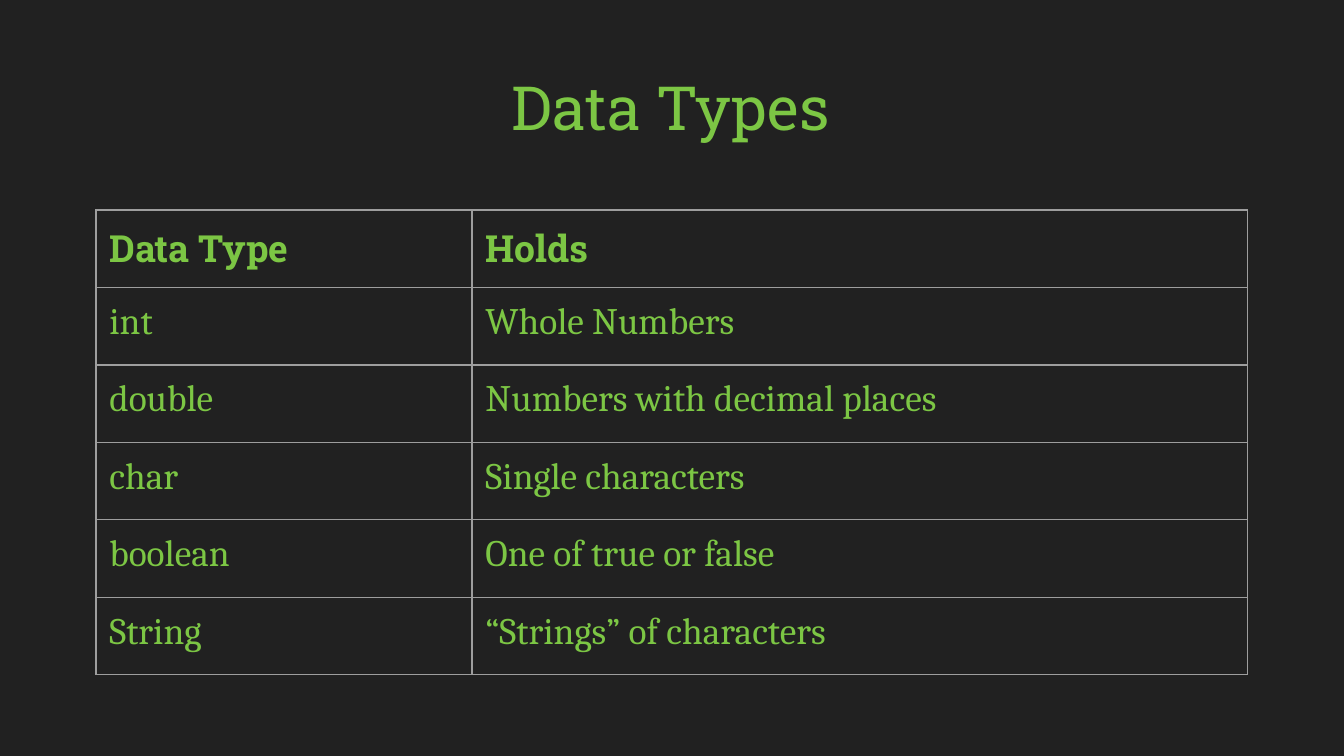
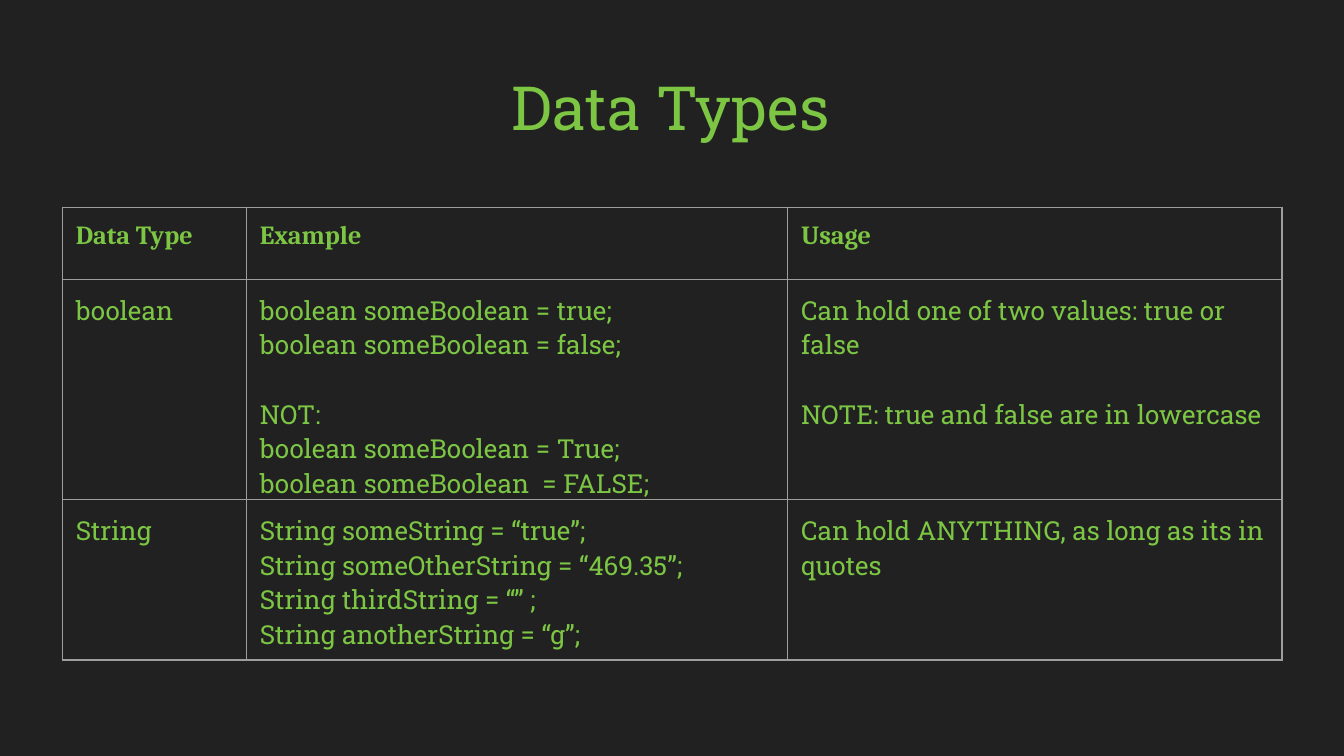
from lxml import etree
from pptx import Presentation
from pptx.dml.color import RGBColor
from pptx.enum.text import MSO_ANCHOR as ANCHOR, PP_ALIGN as ALIGN
from pptx.oxml.ns import qn
from pptx.util import Pt

COLORS = {"background": "212121", "text": "7CC644", "border": "9E9E9E"}
SLAB, SERIF = "Roboto Slab", "Cambria"
INSET = 7.2


def write(tf, text, size=14, font=SLAB, bold=False, align=ALIGN.LEFT, gap=18.5):
    """Write one paragraph per line; a blank line becomes space before the next."""
    tf.word_wrap = True
    blocks = text.split("\n\n")
    lines = [(line, b > 0 and i == 0)
             for b, block in enumerate(blocks)
             for i, line in enumerate(block.split("\n"))]
    for n, (line, spaced) in enumerate(lines):
        p = tf.paragraphs[0] if n == 0 else tf.add_paragraph()
        p.alignment = align
        if spaced:
            p.space_before = Pt(gap)
        r = p.add_run()
        r.text = line
        r.font.size, r.font.name, r.font.bold = Pt(size), font, bold
        r.font.color.rgb = RGBColor.from_string(COLORS["text"])


def set_insets(target):
    target.margin_left = target.margin_right = Pt(INSET)
    target.margin_top = target.margin_bottom = Pt(INSET)


class Deck:
    def __init__(self):
        self.prs = Presentation()
        self.prs.slide_width, self.prs.slide_height = Pt(720), Pt(405)
        self.s = None

    def slide(self, title):
        self.s = self.prs.slides.add_slide(self.prs.slide_layouts[6])
        fill = self.s.background.fill
        fill.solid()
        fill.fore_color.rgb = RGBColor.from_string(COLORS["background"])
        self.title(title)

    def title(self, text):
        sp = self.s.shapes.add_textbox(Pt(95), Pt(41), Pt(529), Pt(42.5))
        tf = sp.text_frame
        set_insets(tf)
        tf.vertical_anchor = ANCHOR.BOTTOM
        write(tf, text, size=32.6, align=ALIGN.CENTER)

    def table(self, left, top, widths, heights, rows, size, head_font, body_font):
        frame = self.s.shapes.add_table(len(rows), len(widths), Pt(left), Pt(top),
                                        Pt(sum(widths)), Pt(sum(heights)))
        table = frame.table
        table.first_row = table.horz_banding = False
        for col, width in zip(table.columns, widths):
            col.width = Pt(width)
        for i, (row, height) in enumerate(zip(rows, heights)):
            table.rows[i].height = Pt(height)
            for j, text in enumerate(row):
                cell = table.cell(i, j)
                set_insets(cell)
                self.borders(cell)
                cell.fill.background()
                write(cell.text_frame, text, size=size, bold=i == 0,
                      font=head_font if i == 0 else body_font)

    def borders(self, cell):
        tc_pr = cell._tc.get_or_add_tcPr()
        for side in ("lnL", "lnR", "lnT", "lnB"):
            ln = etree.SubElement(tc_pr, qn(f"a:{side}"), w=str(Pt(0.75)))
            fill = etree.SubElement(ln, qn("a:solidFill"))
            etree.SubElement(fill, qn("a:srgbClr"), val=COLORS["border"])


def main():
    deck = Deck()

    # What each data type holds
    deck.slide("Data Types")
    types = [
        ("Data Type", "Holds"),
        ("int", "Whole Numbers"),
        ("double", "Numbers with decimal places"),
        ("char", "Single characters"),
        ("boolean", "One of true or false"),
        ("String", "“Strings” of characters"),
    ]
    deck.table(51.4, 112.5, [201.5, 415.5], [41.5] * len(types), types,
               size=20, head_font=SLAB, body_font=SERIF)

    # Examples and usage
    deck.slide("Data Types")
    examples = [
        ("Data Type", "Example", "Usage"),
        ("boolean",
         "boolean someBoolean = true;\nboolean someBoolean = false;\n\n"
         "NOT:\nboolean someBoolean = True;\nboolean someBoolean  = FALSE;",
         "Can hold one of two values: true or false\n\n"
         "NOTE: true and false are in lowercase"),
        ("String",
         "String someString = “true”;\nString someOtherString = “469.35”;\n"
         "String thirdString = “” ;\nString anotherString = “g”;",
         "Can hold ANYTHING, as long as its in quotes"),
    ]
    deck.table(33.4, 111, [98.6, 290, 264.8], [38.6, 118, 86], examples,
               size=14, head_font=SERIF, body_font=SLAB)

    deck.prs.save("out.pptx")


if __name__ == "__main__":
    main()
